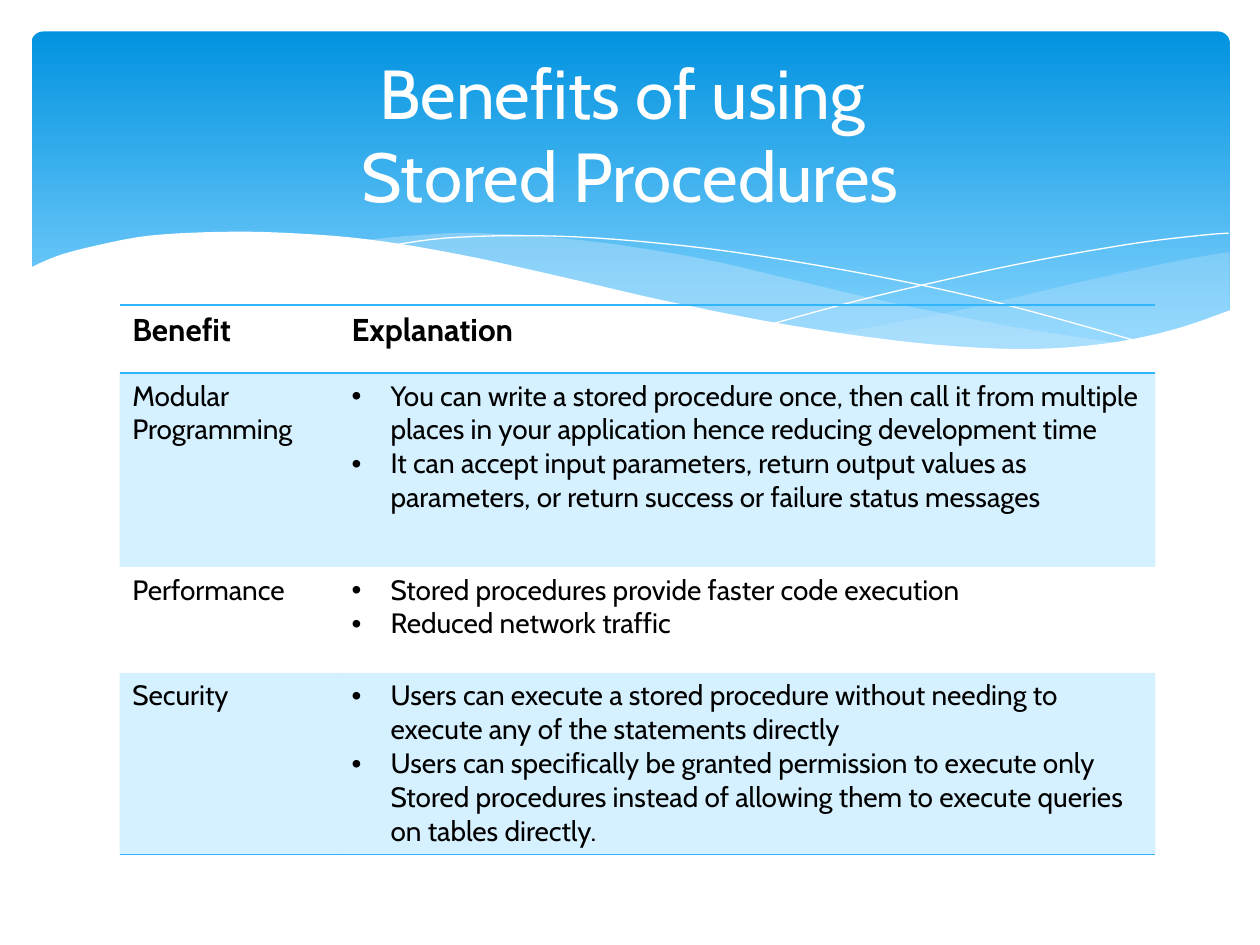
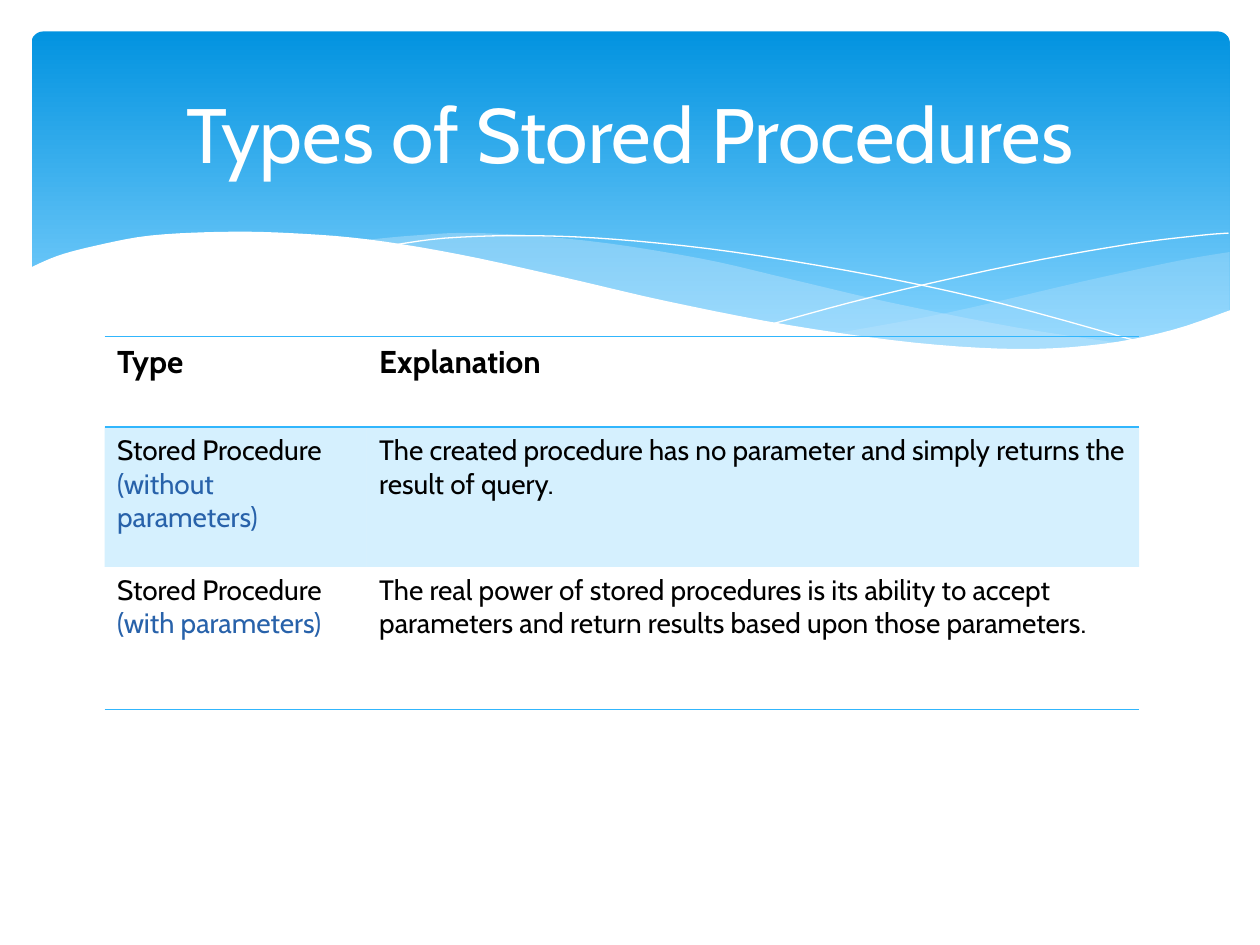
"""Build two slides on stored procedures: their benefits and their types."""
from dataclasses import dataclass
from typing import Any, Optional

import lxml.etree
import pptx
import pptx.dml.color
import pptx.enum.shapes
import pptx.enum.text
import pptx.oxml.ns
import pptx.util

Inches = pptx.util.Inches
Pt = pptx.util.Pt
RGBColor = pptx.dml.color.RGBColor
qn = pptx.oxml.ns.qn

FONT = "Cabin"
WHITE = RGBColor(0xFF, 0xFF, 0xFF)
BLACK = RGBColor(0x00, 0x00, 0x00)
BAND_TOP = RGBColor(0x02, 0x93, 0xE0)
BAND_BOTTOM = RGBColor(0x83, 0xD3, 0xFE)
WAVE_TINT = RGBColor(0xC6, 0xE7, 0xFC)
ACCENT = RGBColor(0x31, 0xB6, 0xFD)
NOTE_BLUE = RGBColor(0x28, 0x62, 0xAA)
NO_STYLE_TABLE = "{2D5ABB26-0587-4C30-8999-92F81FD0307C}"
BULLET_INDENT = Inches(0.31)
CURVE_STEPS = 5

Point = tuple[float, float]


@dataclass(frozen=True)
class Wave:
    """Smooth edges joined into one outline; without opacity it is a white hairline."""
    edges: list[list[Point]]
    color: RGBColor = WHITE
    opacity: Optional[int] = None


@dataclass(frozen=True)
class Span:
    """A stretch of text in one colour."""
    text: str
    color: RGBColor = BLACK


@dataclass(frozen=True)
class Entry:
    """A table cell: one list of spans per paragraph."""
    paragraphs: list[list[Span]]
    bulleted: bool = False


@dataclass(frozen=True)
class Topic:
    """A slide with a title and a table."""
    title_lines: list[str]
    title_size: float
    left: float
    top: float
    columns: list[float]
    heights: list[float]
    rows: list[list[Entry]]


WAVES = [
    Wave([[(9.76, 2), (9.35, 2.07), (8.61, 2.23), (7.53, 2.48), (6.61, 2.65)],
          [(6.61, 2.65), (7.32, 2.74), (8.03, 2.78), (8.72, 2.74), (9.28, 2.63),
           (9.76, 2.47)]], WAVE_TINT, 29),
    Wave([[(8.93, 2.73), (8.07, 2.6), (7.06, 2.4), (6.29, 2.22), (5.55, 2.05),
           (4.65, 1.91), (3.8, 1.85), (3.28, 1.87), (2.86, 1.91)],
          [(2.86, 1.91), (3.62, 2.03), (4.49, 2.22), (5.66, 2.48), (6.5, 2.64),
           (7.36, 2.75), (8.07, 2.78), (8.57, 2.77), (8.93, 2.73)]], WAVE_TINT, 40),
    Wave([[(3.09, 1.95), (3.53, 1.89), (4.16, 1.87), (4.89, 1.9), (5.82, 2),
           (6.95, 2.19), (7.95, 2.41), (9.07, 2.72)]]),
    Wave([[(6.13, 2.57), (6.95, 2.35), (8.06, 2.1), (8.95, 1.94), (9.51, 1.87),
           (9.75, 1.85)]]),
    Wave([[(9.77, 2.46), (9.3, 2.62), (8.75, 2.73), (8.09, 2.77), (7.26, 2.72),
           (6.26, 2.58), (5.29, 2.39), (4.47, 2.2), (3.65, 2.02), (2.92, 1.9),
           (2.3, 1.85), (1.77, 1.84), (1.19, 1.87), (0.76, 1.95), (0.46, 2.03),
           (0.23, 2.13)], [(0.23, 3.29), (9.77, 3.29)]], WHITE, 100),
]


def plain(text: str) -> Entry:
    return Entry([[Span(text)]])


def bullets(*texts: str) -> Entry:
    return Entry([[Span(text)] for text in texts], bulleted=True)


def procedure(note: str) -> Entry:
    return Entry([[Span("Stored Procedure "), Span(note, NOTE_BLUE)]])


TOPICS = [
    Topic(
        ["Benefits of using ", "Stored Procedures"], 39.6, 0.95, 2.42,
        [1.74, 6.48], [0.54, 1.54, 0.84, 1.44],
        [
            [plain("Benefit"), plain("Explanation")],
            [plain("Modular Programming"), bullets(
                "You can write a stored procedure once, then call it from multiple "
                "places in your application hence reducing development time",
                "It can accept input parameters, return output values as parameters, "
                "or return success or failure status messages")],
            [plain("Performance"), bullets(
                "Stored procedures provide faster code execution ",
                "Reduced network traffic")],
            [plain("Security"), bullets(
                "Users can execute a stored procedure without needing to execute any "
                "of the statements directly",
                "Users can specifically be granted permission to execute only Stored "
                "procedures instead of allowing them to execute queries on tables "
                "directly.")],
        ]),
    Topic(
        ["Types of Stored Procedures"], 44, 0.83, 2.67,
        [2.08, 6.13], [0.72, 1.11, 1.13],
        [
            [plain("Type"), plain("Explanation")],
            [procedure("(without parameters)"), plain(
                "The created procedure has no parameter and simply returns the result "
                "of query.")],
            [procedure("(with parameters)"), plain(
                "The real power of stored procedures is its ability to accept "
                "parameters and return results based upon those parameters.")],
        ]),
]


def smooth(knots: list[Point]) -> list[Point]:
    """Return points on a Catmull-Rom curve through the knots."""
    if len(knots) < 3:
        return knots
    padded = [knots[0], *knots, knots[-1]]
    curve = [knots[0]]
    for before, start, end, after in zip(padded, padded[1:], padded[2:], padded[3:]):
        for step in range(1, CURVE_STEPS + 1):
            t = step / CURVE_STEPS
            x, y = (
                0.5 * (2 * b + (c - a) * t + (2 * a - 5 * b + 4 * c - d) * t ** 2
                       + (3 * b - a - 3 * c + d) * t ** 3)
                for a, b, c, d in zip(before, start, end, after))
            curve.append((x, y))
    return curve


def fill_solid(fill: Any, owner: Any, color: RGBColor, opacity: int) -> None:
    """Fill with a colour and record its opacity in the owner's XML."""
    fill.solid()
    fill.fore_color.rgb = color
    if opacity < 100:
        tone = owner.find(qn("a:solidFill")).find(qn("a:srgbClr"))
        lxml.etree.SubElement(tone, qn("a:alpha"), val=str(opacity * 1000))


def draw_band(slide: Any) -> None:
    """Draw the gradient band behind the title."""
    band = slide.shapes.add_shape(
        pptx.enum.shapes.MSO_SHAPE.ROUNDED_RECTANGLE,
        Inches(0.25), Inches(0.25), Inches(9.51), Inches(2.7))
    band.adjustments[0] = 0.034
    band.shadow.inherit = False
    band.line.fill.background()
    band.fill.gradient()
    band.fill.gradient_angle = 270
    for stop, color, position in zip(
            band.fill.gradient_stops, (BAND_TOP, BAND_BOTTOM), (0, 0.9)):
        stop.color.rgb = color
        stop.position = position


def draw_wave(slide: Any, wave: Wave) -> None:
    """Draw one wave of the band's lower edge."""
    outline = [(Inches(x), Inches(y)) for edge in wave.edges for x, y in smooth(edge)]
    builder = slide.shapes.build_freeform(*outline[0])
    builder.add_line_segments(outline[1:], close=wave.opacity is not None)
    shape = builder.convert_to_shape()
    shape.shadow.inherit = False
    if wave.opacity is None:
        shape.fill.background()
        shape.line.color.rgb = wave.color
        shape.line.width = Pt(0)
    else:
        fill_solid(shape.fill, shape.element.spPr, wave.color, wave.opacity)
        shape.line.fill.background()


def add_run(paragraph: Any, text: str, size: float, color: RGBColor,
            bold: bool = False) -> None:
    run = paragraph.add_run()
    run.text = text
    run.font.name = FONT
    run.font.size = Pt(size)
    run.font.bold = bold
    run.font.color.rgb = color


def write_title(slide: Any, topic: Topic) -> None:
    """Place the title over the band."""
    title = slide.shapes.title
    slide.shapes.element.append(title.element)
    title.left, title.top = Inches(0.5), Inches(0.37)
    title.width, title.height = Inches(9), Inches(1.37)
    frame = title.text_frame
    frame.word_wrap = True
    frame.auto_size = pptx.enum.text.MSO_AUTO_SIZE.NONE
    frame.vertical_anchor = pptx.enum.text.MSO_ANCHOR.MIDDLE
    paragraph = frame.paragraphs[0]
    paragraph.alignment = pptx.enum.text.PP_ALIGN.CENTER
    for index, line in enumerate(topic.title_lines):
        if index:
            paragraph.add_line_break()
        add_run(paragraph, line, topic.title_size, WHITE)


def add_bullet(paragraph: Any) -> None:
    properties = paragraph._p.get_or_add_pPr()
    properties.set("marL", str(BULLET_INDENT))
    properties.set("indent", str(-BULLET_INDENT))
    lxml.etree.SubElement(properties, qn("a:buFont"), typeface="Arial")
    lxml.etree.SubElement(properties, qn("a:buChar"), char="•")


def add_rule(cell_properties: Any, side: str) -> None:
    """Give a cell an accent border on one side."""
    rule = lxml.etree.SubElement(cell_properties, qn(side), w=str(Pt(1)))
    paint = lxml.etree.SubElement(rule, qn("a:solidFill"))
    lxml.etree.SubElement(paint, qn("a:srgbClr"), val=str(ACCENT))


def write_cell(cell: Any, entry: Entry, row: int, last_row: int) -> None:
    """Rule, shade and fill in one cell."""
    header = row == 0
    properties = cell._tc.get_or_add_tcPr()
    if header:
        add_rule(properties, "a:lnT")
    if header or row == last_row:
        add_rule(properties, "a:lnB")
    if row % 2:
        fill_solid(cell.fill, properties, ACCENT, 20)
    else:
        cell.fill.background()
    frame = cell.text_frame
    for index, spans in enumerate(entry.paragraphs):
        paragraph = frame.add_paragraph() if index else frame.paragraphs[0]
        if entry.bulleted:
            add_bullet(paragraph)
        for span in spans:
            add_run(paragraph, span.text, 18 if header else 16, span.color, header)


def draw_table(slide: Any, topic: Topic) -> None:
    """Draw the topic's table with shaded alternate rows."""
    holder = slide.shapes.add_table(
        len(topic.rows), len(topic.columns), Inches(topic.left), Inches(topic.top),
        Inches(sum(topic.columns)), Inches(sum(topic.heights)))
    table = holder.table
    next(holder.element.iter(qn("a:tableStyleId"))).text = NO_STYLE_TABLE
    table.horz_banding = False
    for column, width in zip(table.columns, topic.columns):
        column.width = Inches(width)
    for row, (entries, height) in enumerate(zip(topic.rows, topic.heights)):
        table.rows[row].height = Inches(height)
        for column, entry in enumerate(entries):
            write_cell(table.cell(row, column), entry, row, len(topic.rows) - 1)


def main() -> None:
    deck = pptx.Presentation()
    deck.slide_width, deck.slide_height = Inches(10), Inches(7.5)
    title_only = deck.slide_layouts[5]
    for topic in TOPICS:
        slide = deck.slides.add_slide(title_only)
        draw_band(slide)
        for wave in WAVES:
            draw_wave(slide, wave)
        write_title(slide, topic)
        draw_table(slide, topic)
    deck.save("out.pptx")


main()
